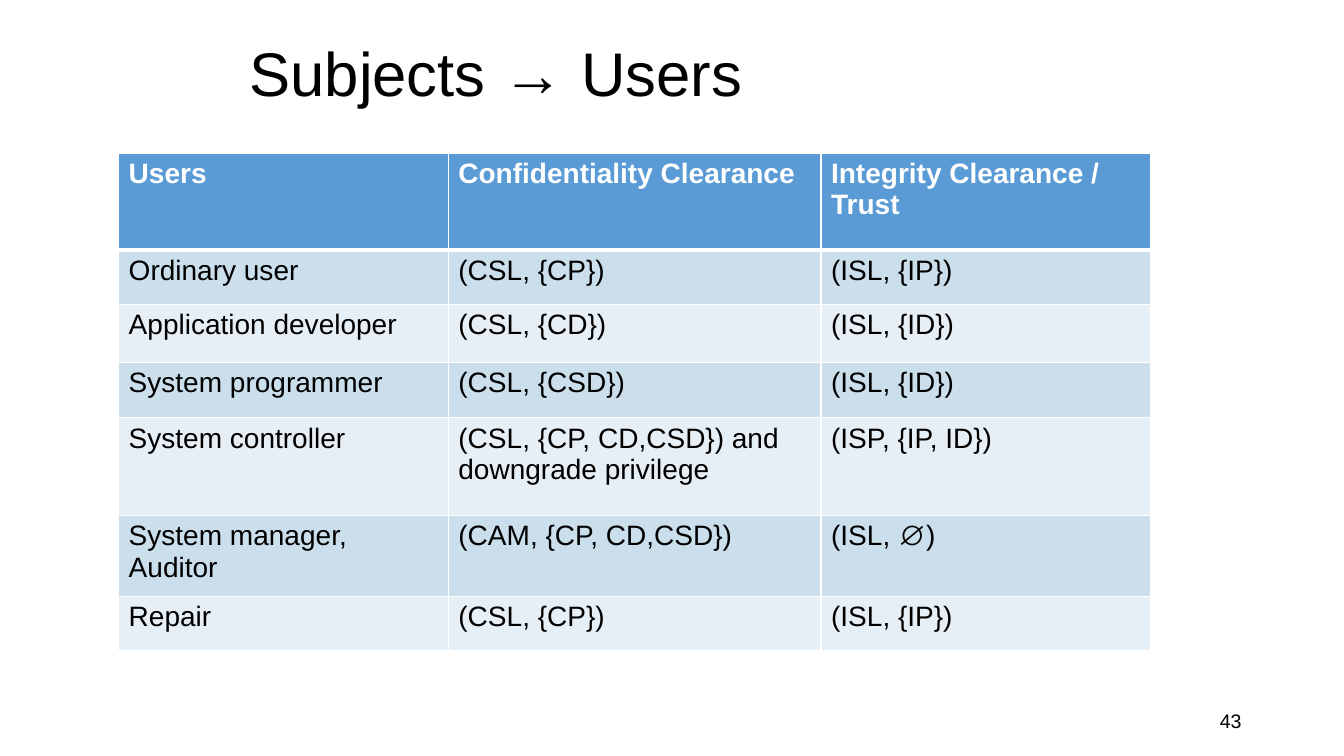
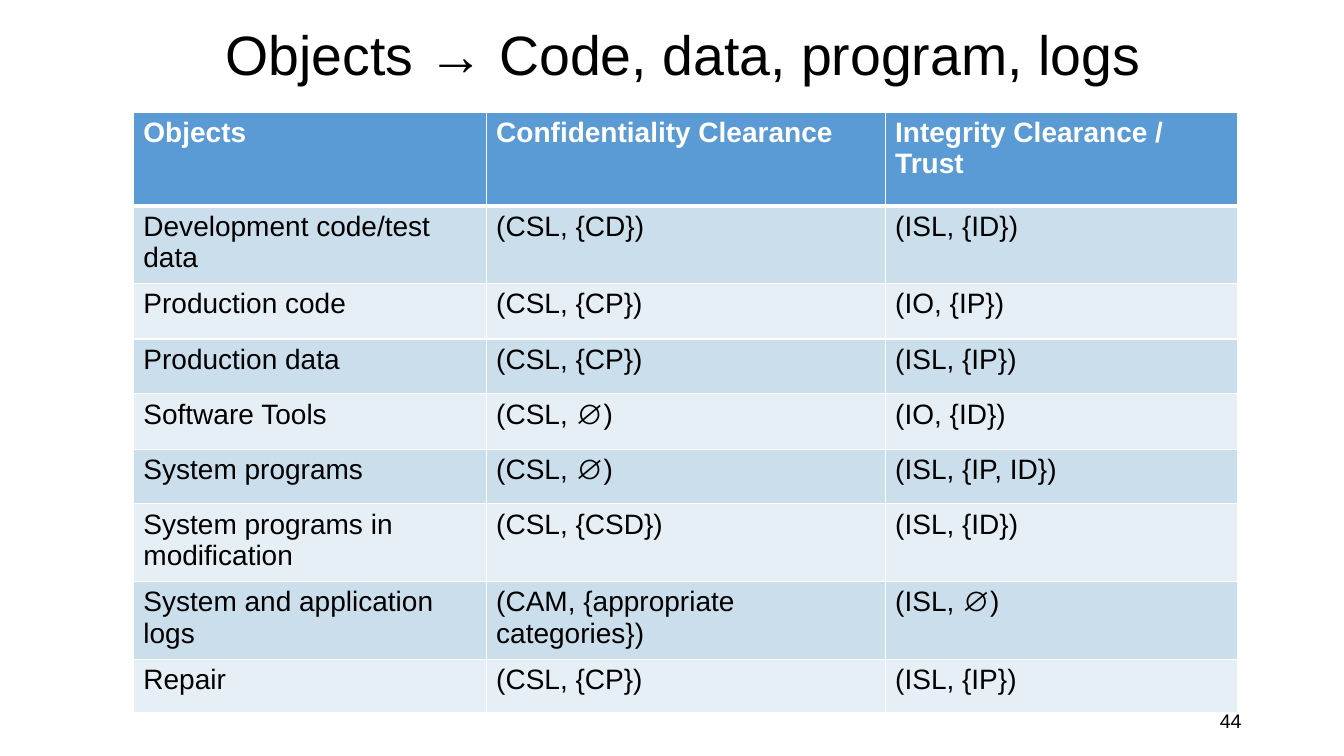
from dataclasses import dataclass

from lxml.etree import SubElement
from pptx import Presentation
from pptx.dml.color import RGBColor
from pptx.enum.text import MSO_ANCHOR, MSO_AUTO_SIZE, PP_ALIGN
from pptx.oxml.ns import qn
from pptx.presentation import Presentation as Deck
from pptx.slide import Slide
from pptx.table import _Cell as Cell
from pptx.util import Emu, Pt

PX = 9525
FONT = "Arial"
COLORS = {
    "ink": "000000",
    "white": "FFFFFF",
    "header": "5B9BD5",
    "odd": "CBDEEC",
    "even": "E7EFF6",
}
CLEARANCES = ("Confidentiality Clearance", "Integrity Clearance / Trust")


@dataclass(frozen=True)
class Box:
    """A rectangle in px."""

    left: int
    top: int
    width: int
    height: int

    def emu(self) -> tuple[Emu, Emu, Emu, Emu]:
        """Return left, top, width and height in EMU."""
        return px(self.left), px(self.top), px(self.width), px(self.height)


@dataclass(frozen=True)
class ClearancePage:
    """One slide: a title, a page number and a clearance table."""

    number: int
    title: str
    title_size: float
    title_box: Box
    table_left: int
    table_top: int
    columns: tuple[int, ...]
    row_heights: tuple[int, ...]
    rows: tuple[tuple[str, ...], ...]


NUMBER_BOX = Box(904, 667, 288, 38)
PAGES = (
    ClearancePage(
        43, "Subjects → Users", 44, Box(228, 0, 872, 146),
        113, 146, (314, 355, 314), (92, 52, 55, 53, 93, 77, 52),
        (
            ("Users", *CLEARANCES),
            ("Ordinary user", "(CSL, {CP})", "(ISL, {IP})"),
            ("Application developer", "(CSL, {CD})", "(ISL, {ID})"),
            ("System programmer", "(CSL, {CSD})", "(ISL, {ID})"),
            ("System controller", "(CSL, {CP, CD,CSD}) and downgrade privilege", "(ISP, {IP, ID})"),
            ("System manager, Auditor", "(CAM, {CP, CD,CSD})", "(ISL, ∅)"),
            ("Repair", "(CSL, {CP})", "(ISL, {IP})"),
        ),
    ),
    ClearancePage(
        44, "Objects → Code, data, program, logs", 39.6, Box(205, 0, 972, 110),
        127, 107, (336, 380, 336), (89, 74, 53, 52, 53, 52, 74, 74, 51),
        (
            ("Objects", *CLEARANCES),
            ("Development code/test data", "(CSL, {CD})", "(ISL, {ID})"),
            ("Production code", "(CSL, {CP})", "(IO, {IP})"),
            ("Production data", "(CSL, {CP})", "(ISL, {IP})"),
            ("Software Tools", "(CSL, ∅)", "(IO, {ID})"),
            ("System programs", "(CSL, ∅)", "(ISL, {IP, ID})"),
            ("System programs in modification", "(CSL, {CSD})", "(ISL, {ID})"),
            ("System and application logs", "(CAM, {appropriate categories})", "(ISL, ∅)"),
            ("Repair", "(CSL, {CP})", "(ISL, {IP})"),
        ),
    ),
)


def px(length: int) -> Emu:
    """Convert px to EMU."""
    return Emu(length * PX)


def color(name: str) -> RGBColor:
    """Look up a palette colour."""
    return RGBColor.from_string(COLORS[name])


def write(frame, text: str, size: float, ink: str = "ink", bold: bool = False,
          align: PP_ALIGN = PP_ALIGN.LEFT, spacing: float = 1.0) -> None:
    """Write one formatted paragraph into a text frame."""
    frame.word_wrap = True
    para = frame.paragraphs[0]
    para.text = text
    para.alignment = align
    para.line_spacing = spacing
    para.font.name = FONT
    para.font.size = Pt(size)
    para.font.bold = bold
    para.font.color.rgb = color(ink)


def add_title(slide: Slide, page: ClearancePage) -> None:
    """Move and fill the title placeholder."""
    title = slide.shapes.title
    title.left, title.top, title.width, title.height = page.title_box.emu()
    frame = title.text_frame
    frame.auto_size = MSO_AUTO_SIZE.NONE
    frame.vertical_anchor = MSO_ANCHOR.MIDDLE
    write(frame, page.title, page.title_size, spacing=0.9)


def add_number(slide: Slide, number: int) -> None:
    """Put the page number at the lower right."""
    frame = slide.shapes.add_textbox(*NUMBER_BOX.emu()).text_frame
    frame.vertical_anchor = MSO_ANCHOR.MIDDLE
    write(frame, str(number), 14, align=PP_ALIGN.RIGHT)


def set_borders(cell: Cell, top: int, bottom: int) -> None:
    """Draw white cell borders, with 1 pt sides and the given top and bottom."""
    properties = cell._tc.get_or_add_tcPr()
    for tag, width in (("a:lnL", 1), ("a:lnR", 1), ("a:lnT", top), ("a:lnB", bottom)):
        line = SubElement(properties, qn(tag), w=str(Pt(width)))
        fill = SubElement(line, qn("a:solidFill"))
        SubElement(fill, qn("a:srgbClr"), val=COLORS["white"])


def add_clearances(slide: Slide, page: ClearancePage) -> None:
    """Add the banded clearance table."""
    box = Box(page.table_left, page.table_top, sum(page.columns), sum(page.row_heights))
    table = slide.shapes.add_table(len(page.rows), len(page.columns), *box.emu()).table
    for column, width in zip(table.columns, page.columns):
        column.width = px(width)
    for index, (row, height, texts) in enumerate(zip(table.rows, page.row_heights, page.rows)):
        row.height = px(height)
        header = index == 0
        band = "header" if header else "odd" if index % 2 else "even"
        for cell, text in zip(row.cells, texts):
            set_borders(cell, 3 if index == 1 else 1, 3 if header else 1)
            cell.fill.solid()
            cell.fill.fore_color.rgb = color(band)
            write(cell.text_frame, text, 20, "white" if header else "ink", header)


def add_page(deck: Deck, page: ClearancePage) -> None:
    """Add one clearance slide."""
    slide = deck.slides.add_slide(deck.slide_layouts.get_by_name("Title Only"))
    add_title(slide, page)
    add_number(slide, page.number)
    add_clearances(slide, page)


def main() -> None:
    """Build and save the deck."""
    deck = Presentation()
    deck.slide_width, deck.slide_height = px(1280), px(720)
    for page in PAGES:
        add_page(deck, page)
    deck.save("out.pptx")


if __name__ == "__main__":
    main()
